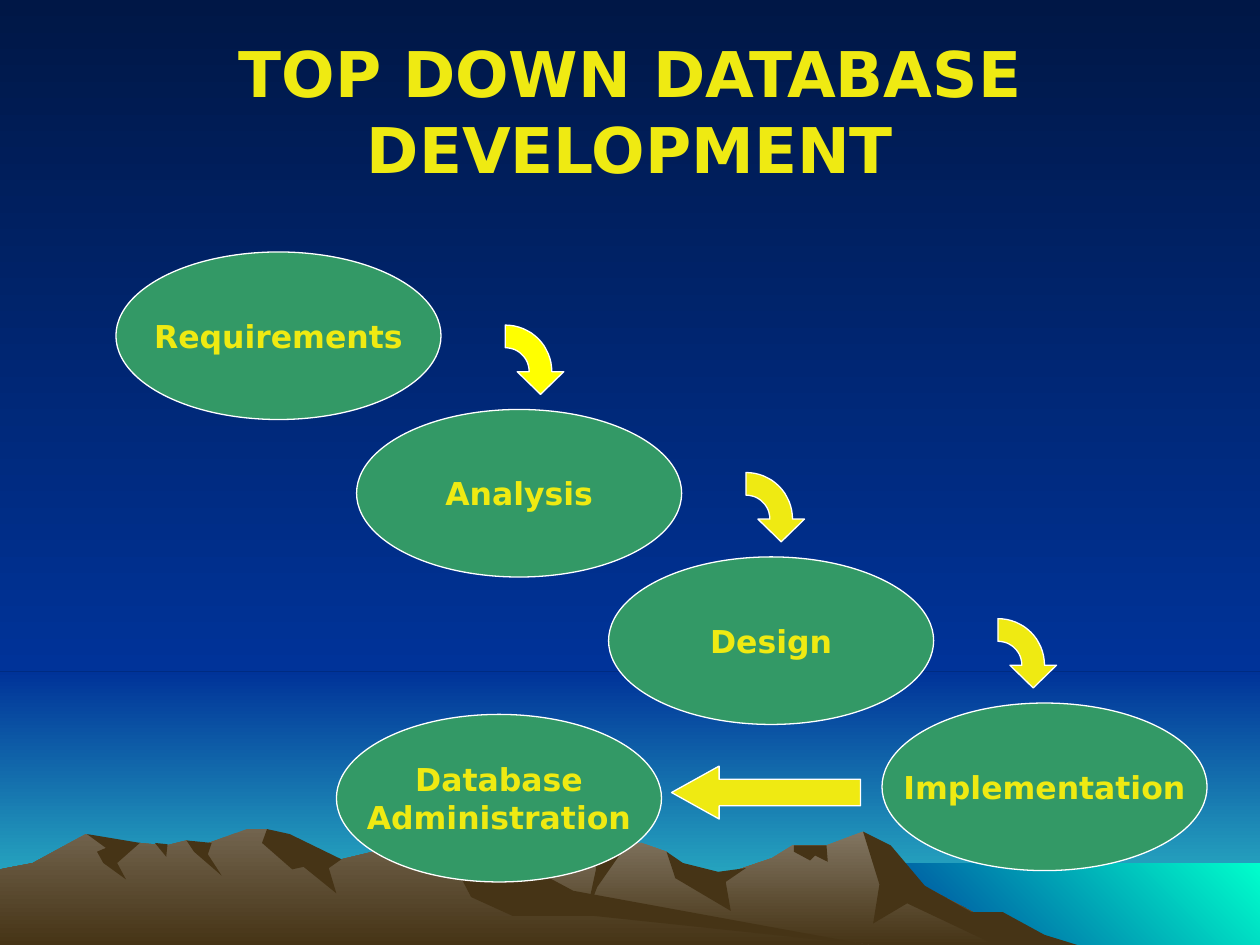
from math import cos, pi, sin

from pptx import Presentation
from pptx.dml.color import RGBColor
from pptx.enum.shapes import MSO_SHAPE
from pptx.enum.text import MSO_ANCHOR, PP_ALIGN
from pptx.util import Inches, Pt

RECT, OVAL, LEFT = MSO_SHAPE.RECTANGLE, MSO_SHAPE.OVAL, MSO_SHAPE.LEFT_ARROW
MIDDLE, CENTER = MSO_ANCHOR.MIDDLE, PP_ALIGN.CENTER
FONT = "DejaVu Sans"
UNITS = 1000
DOWN, DIAG = 270, 225
COLORS = {
    "night": "001746", "blue": "003399", "teal": "33CCCC", "aqua": "00FFCC",
    "far": "837763", "near": "72644E", "shade": "463416",
    "green": "339966", "gold": "EFEA12", "yellow": "FFFF00", "white": "FFFFFF",
}

WIDE, HIGH = 10, 7.5
SKYLINE, SHORE, COAST = 5.33, 6.85, 6.83
OVAL_W, OVAL_H = 2.58, 1.33
BEND_DX, BEND_RISE = 2.33, 0.67
BEND_R, BEND_BAND, HEAD_W, HEAD_H = 0.37, 0.18, 0.37, 0.18
BEND_STEPS = 16

STAGES = [
    ("Requirements", 0.92, 2), ("Analysis", 2.83, 3.25),
    ("Design", 4.83, 4.42), ("Implementation", 7, 5.58),
]
LAST_STAGE = ("Database\nAdministration", 2.67, 5.67)

FAR_CREST = [
    (2.58, HIGH), (3.27, 7.09), (3.94, 6.85), (4.3, 6.71), (4.65, 6.58), (4.86, 6.73),
    (5.09, 6.69), (5.29, 6.76), (5.36, 6.9), (5.66, 6.97), (6.13, 6.81), (6.29, 6.71),
    (6.56, 6.71), (6.85, 6.6), (7.02, 6.71), (7.23, 6.98), (7.78, 7.27), (8.21, HIGH),
]
NEAR_CREST = [
    (0, 6.9), (0.26, 6.85), (0.68, 6.62), (0.94, 6.71), (1.11, 6.69), (1.32, 6.71),
    (1.48, 6.67), (1.6, 6.71), (1.96, 6.58), (2.12, 6.58), (2.36, 6.81), (2.71, 6.82),
    (2.96, 6.76), (3.18, 6.64), (3.54, 6.65), (4.32, 7.12), (6.9, HIGH),
]
FAR_SHADES = {
    "coast": [(6.85, 6.6), (7.07, 6.71), (7.34, 7.03), (7.71, 7.24), (7.96, 7.24),
              (8.29, 7.42), (8.55, HIGH), (7.9, HIGH), (7.2, 7.17), (6.93, 7.33),
              (6.98, 7.02)],
    "peak": [(4.71, 6.58), (4.97, 6.71), (4.74, 7.04), (4.65, 7.27), (4.73, 6.9)],
    "valley": [(5.29, 6.76), (5.42, 6.85), (5.7, 6.92), (5.92, 6.89), (5.76, 7),
               (5.8, 7.23), (5.36, 6.97)],
    "notch": [(6.3, 6.71), (6.56, 6.71), (6.57, 6.84), (6.47, 6.79), (6.43, 6.83),
              (6.3, 6.76)],
}
NEAR_SHADES = {
    "slope": [(2.12, 6.58), (2.3, 6.62), (2.71, 6.82), (2.61, 6.89), (2.67, 7.09),
              (2.41, 6.88), (2.32, 6.9), (2.08, 6.69)],
    "ridge": [(3.44, 6.65), (3.61, 6.66), (4.27, 6.92), (4.55, 7.07), (6.9, HIGH),
              (4.72, 7.27), (4.07, 7.27), (3.74, 7.12), (3.63, 6.91), (3.37, 6.87)],
    "gully": [(1.48, 6.67), (1.68, 6.69), (1.65, 6.78), (1.76, 6.95), (1.54, 6.76)],
    "crack": [(1.23, 6.69), (1.33, 6.7), (1.32, 6.8)],
    "crag": [(0.69, 6.62), (1.11, 6.69), (0.93, 6.85), (1, 6.98), (0.82, 6.85),
             (0.77, 6.76), (0.84, 6.73)],
}
RANGES = [("far", FAR_CREST, FAR_SHADES), ("near", NEAR_CREST, NEAR_SHADES)]


def color(name):
    """Return the named colour."""
    return RGBColor.from_string(COLORS[name])


def blend(fill, names, angle=DOWN):
    """Fill with a two-stop gradient."""
    fill.gradient()
    fill.gradient_angle = angle
    for stop, name in zip(fill.gradient_stops, names):
        stop.color.rgb = color(name)


def paint(shape, fill, line=None, angle=DOWN):
    """Set a plain or gradient fill and an optional thin outline."""
    shape.shadow.inherit = False
    if isinstance(fill, tuple):
        blend(shape.fill, fill, angle)
    else:
        shape.fill.solid()
        shape.fill.fore_color.rgb = color(fill)
    if line:
        shape.line.color.rgb = color(line)
        shape.line.width = Pt(0.75)
    else:
        shape.line.fill.background()


def add_form(slide, kind, box, fill, line=None, angle=DOWN):
    """Add a painted preset shape."""
    shape = slide.shapes.add_shape(kind, *map(Inches, box))
    paint(shape, fill, line, angle)
    return shape


def add_path(slide, points, fill, line=None):
    """Add a closed outline through points in inches."""
    first, *rest = [(round(x * UNITS), round(y * UNITS)) for x, y in points]
    path = slide.shapes.build_freeform(*first, scale=Inches(1) / UNITS)
    path.add_line_segments(rest, close=True)
    paint(path.convert_to_shape(), fill, line)


def add_range(slide, tone, crest, shades):
    """Add a mountain range from its crest down to the slide's foot."""
    foot = [(crest[-1][0], HIGH), (crest[0][0], HIGH)]
    add_path(slide, crest + foot, (tone, "shade"))
    for shade in shades.values():
        add_path(slide, shade, "shade")


def arc(x, y, radius):
    """Return points on a quarter circle from right to top."""
    turns = [pi / 2 * i / BEND_STEPS for i in range(BEND_STEPS + 1)]
    return [(x + radius * cos(t), y - radius * sin(t)) for t in turns]


def add_bend(slide, left, top, fill):
    """Add an arrow that bends a quarter turn downward."""
    x, y = left + BEND_R, top + BEND_R
    inner = arc(x, y, BEND_R - BEND_BAND)
    outer = arc(x, y, BEND_R)[::-1]
    mid = x + BEND_R - BEND_BAND / 2
    head = [(mid + HEAD_W / 2, y), (mid, y + HEAD_H), (mid - HEAD_W / 2, y)]
    add_path(slide, inner + outer + head, fill, "white")


def write(shape, text, size, wrap):
    """Write bold centred text in a shape."""
    frame = shape.text_frame
    frame.text = text
    frame.word_wrap = wrap
    frame.vertical_anchor = MIDDLE
    for para in frame.paragraphs:
        para.alignment = CENTER
        for run in para.runs:
            run.font.name = FONT
            run.font.size = Pt(size)
            run.font.bold = True
            run.font.color.rgb = color("gold")


def add_scene(slide):
    """Draw the sky, the sea and the mountains."""
    blend(slide.background.fill, ("night", "blue"))
    add_form(slide, RECT, (0, SKYLINE, WIDE, HIGH - SKYLINE), ("blue", "teal"))
    add_form(slide, RECT, (0, 0, WIDE, SKYLINE), ("night", "blue"))
    sea = (COAST, SHORE, WIDE - COAST, HIGH - SHORE)
    add_form(slide, RECT, sea, ("aqua", "blue"), angle=DIAG)
    for item in RANGES:
        add_range(slide, *item)


def add_stages(slide):
    """Draw the stages and the arrows that lead from each to the next."""
    for text, left, top in STAGES + [LAST_STAGE]:
        oval = add_form(slide, OVAL, (left, top, OVAL_W, OVAL_H), "green", "white")
        write(oval, text, 18, False)
    fills = ["yellow", "gold", "gold"]
    for (_, left, _), (_, _, below), fill in zip(STAGES, STAGES[1:], fills):
        add_bend(slide, left + BEND_DX + 0.39, below - BEND_RISE, fill)
    arrow = add_form(slide, LEFT, (5.33, 6.08, 1.5, 0.42), "gold", "white")
    arrow.adjustments[0], arrow.adjustments[1] = 0.5, 0.9


def main():
    """Build the slide and save it."""
    deck = Presentation()
    deck.slide_width, deck.slide_height = Inches(WIDE), Inches(HIGH)
    slide = deck.slides.add_slide(deck.slide_layouts[6])
    add_scene(slide)
    title = slide.shapes.add_textbox(*map(Inches, (0.5, 0.25, 9, 1.25)))
    write(title, "TOP DOWN DATABASE DEVELOPMENT", 36, True)
    add_stages(slide)
    deck.save("out.pptx")


if __name__ == "__main__":
    main()
